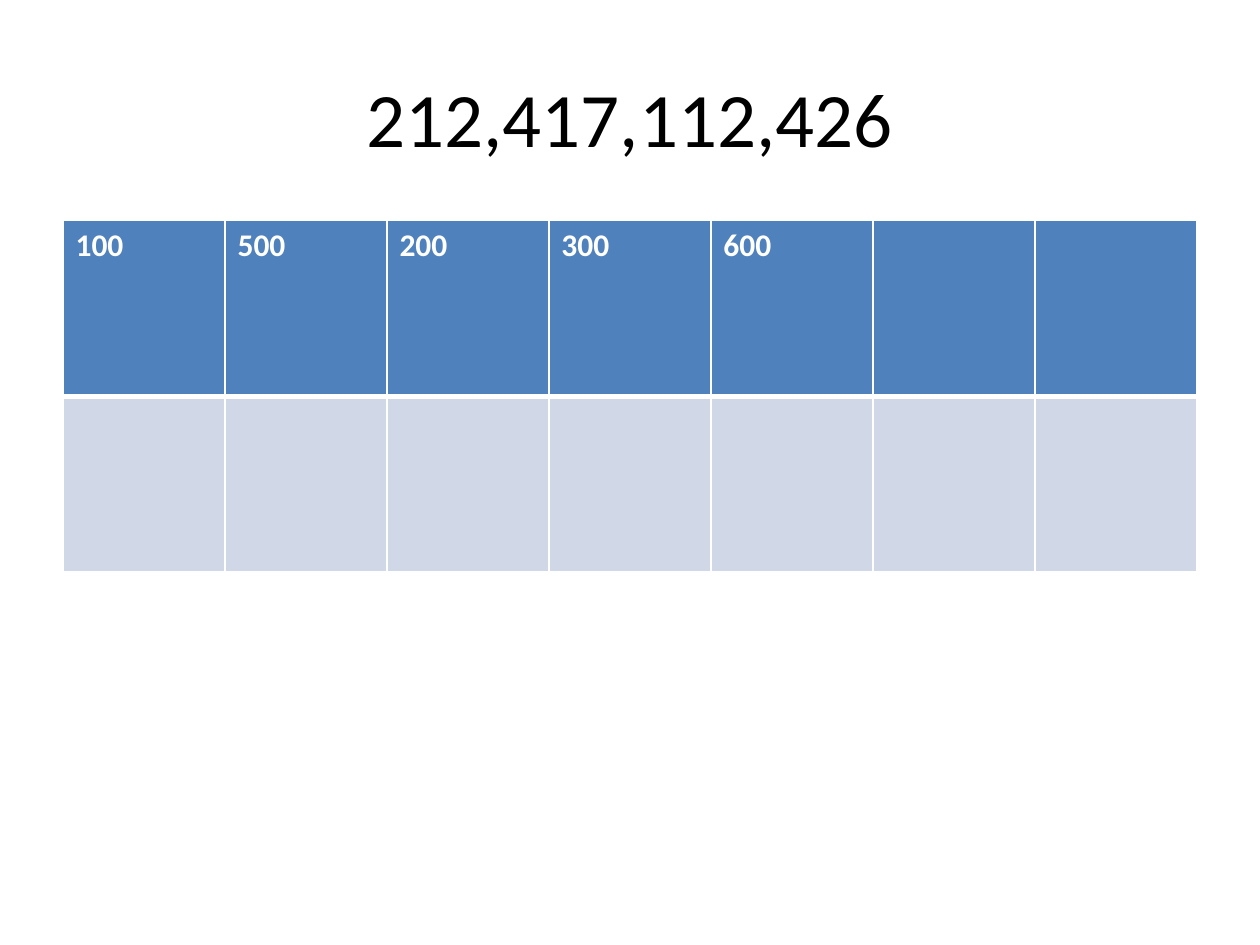
from dataclasses import dataclass

from lxml.etree import SubElement
from pptx import Presentation
from pptx.dml.color import RGBColor
from pptx.enum.text import MSO_ANCHOR, PP_ALIGN
from pptx.oxml.ns import qn
from pptx.slide import Slide
from pptx.util import Inches, Pt

BLACK = RGBColor(0x00, 0x00, 0x00)
WHITE = RGBColor(0xFF, 0xFF, 0xFF)
HEADER_BLUE = RGBColor(0x4F, 0x81, 0xBD)
BODY_BLUE = RGBColor(0xD0, 0xD8, 0xE8)
WIDTH, HEIGHT = Inches(10), Inches(7.5)
COLUMNS = 7
ROWS = [["100", "500", "200", "300", "600"], []]


@dataclass
class Board:
    """Holds the style and the current slide, with lengths as shares of its size."""

    page: Slide
    font: str = "Calibri"
    title_size: int = 44
    cell_size: int = 18
    thin: int = 1
    thick: int = 3

    def area(self, left, top, width, height):
        return (round(left * WIDTH), round(top * HEIGHT),
                round(width * WIDTH), round(height * HEIGHT))

    def style(self, para, size, color, bold=False):
        para.font.name = self.font
        para.font.size = Pt(size)
        para.font.bold = bold
        para.font.color.rgb = color

    def title(self, text, *shares):
        box = self.page.shapes.title
        box.left, box.top, box.width, box.height = self.area(*shares)
        box.text_frame.text = text
        box.text_frame.vertical_anchor = MSO_ANCHOR.MIDDLE
        para = box.text_frame.paragraphs[0]
        para.alignment = PP_ALIGN.CENTER
        self.style(para, self.title_size, BLACK)

    def border(self, cell, side, points):
        line = SubElement(cell._tc.get_or_add_tcPr(), qn(f"a:ln{side}"), w=str(Pt(points)))
        fill = SubElement(line, qn("a:solidFill"))
        SubElement(fill, qn("a:srgbClr"), val=str(WHITE))

    def table(self, rows, columns, *shares):
        grid = self.page.shapes.add_table(len(rows), columns, *self.area(*shares)).table
        for row, texts in enumerate(rows):
            header = row == 0
            for column in range(columns):
                cell = grid.cell(row, column)
                for side in "LRTB":
                    divider = side == ("B" if header else "T")
                    self.border(cell, side, self.thick if divider else self.thin)
                cell.fill.solid()
                cell.fill.fore_color.rgb = HEADER_BLUE if header else BODY_BLUE
                if column < len(texts):
                    cell.text = texts[column]
                    para = cell.text_frame.paragraphs[0]
                    self.style(para, self.cell_size, WHITE, bold=True)


def main():
    deck = Presentation()
    deck.slide_width, deck.slide_height = WIDTH, HEIGHT
    board = Board(deck.slides.add_slide(deck.slide_layouts[5]))
    board.title("212,417,112,426", 0.05, 0.04, 0.9, 1 / 6)
    board.table(ROWS, COLUMNS, 0.05, 7 / 30, 0.9, 0.372)
    deck.save("out.pptx")


if __name__ == "__main__":
    main()
